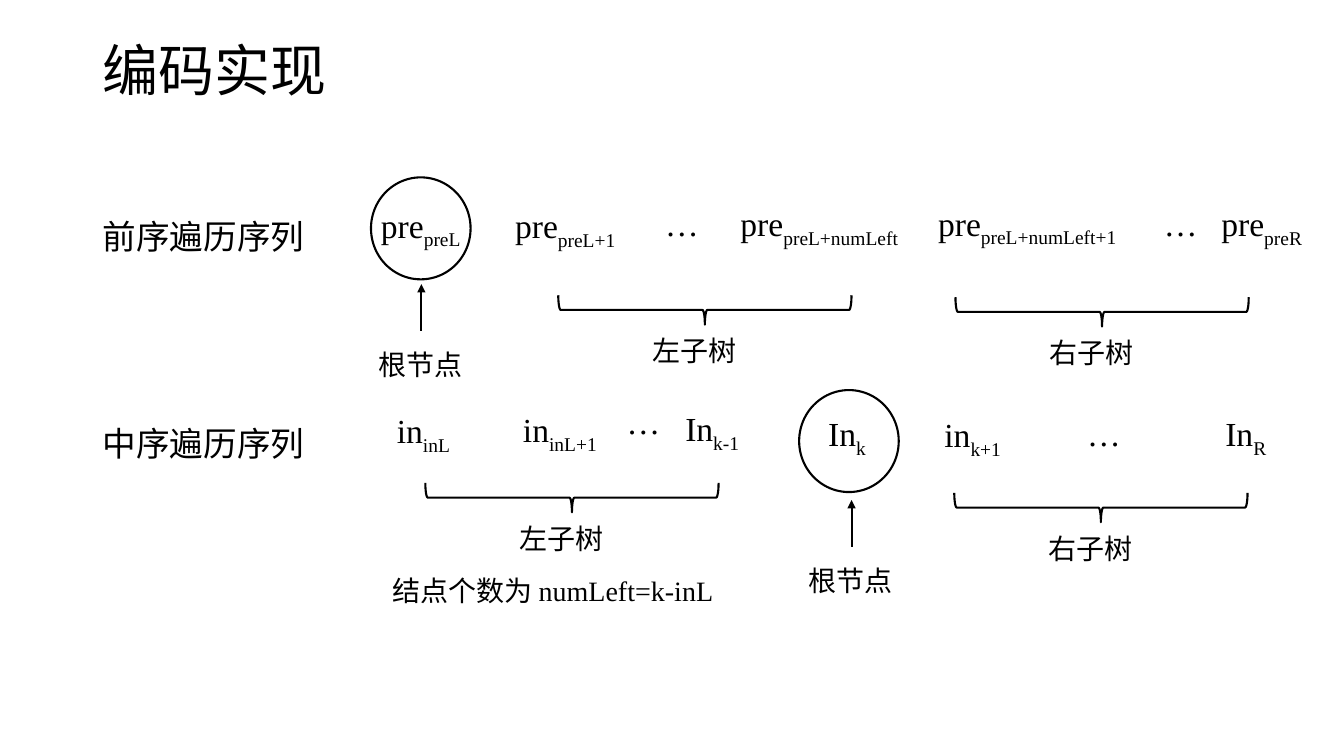
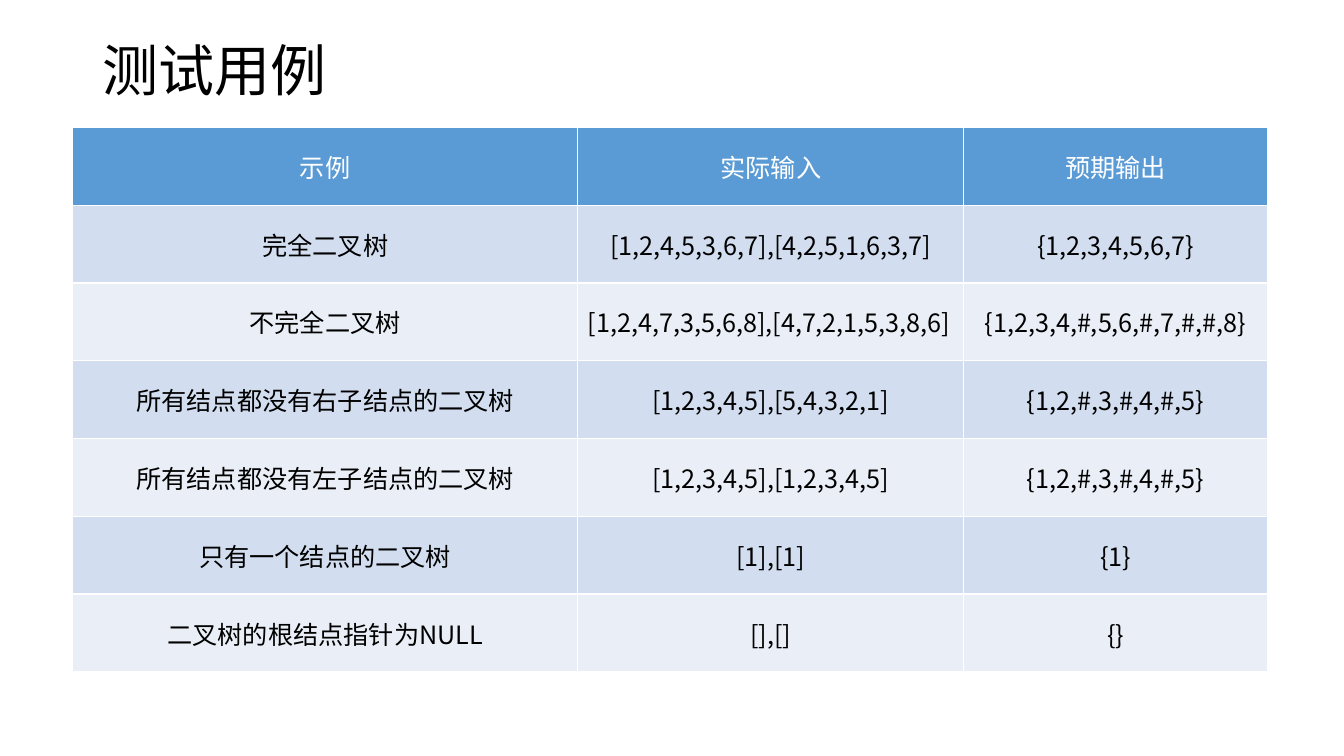
from dataclasses import dataclass

from lxml.etree import SubElement
from pptx import Presentation
from pptx.dml.color import RGBColor
from pptx.enum.shapes import MSO_CONNECTOR, MSO_SHAPE
from pptx.enum.text import MSO_ANCHOR, MSO_AUTO_SIZE, PP_ALIGN
from pptx.oxml.ns import qn
from pptx.util import Cm, Pt


@dataclass(frozen=True)
class Theme:
    """Colours, fonts and type sizes shared by the slides."""

    ink: str = "000000"
    paper: str = "FFFFFF"
    header: str = "5B9BD5"
    bands: tuple = ("D2DEEF", "EAEFF7")
    sans: str = "Noto Sans CJK SC"
    serif: str = "Times New Roman"
    title_size: int = 40
    sequence_size: int = 24
    label_size: int = 20
    table_size: int = 18
    line_width: float = 1.5


@dataclass(frozen=True)
class Box:
    """A rectangle measured in centimetres."""

    left: float
    top: float
    width: float
    height: float

    def place(self, left, top, width, height):
        """Return a box offset from this one's corner."""
        return Box(self.left + left, self.top + top, width, height)

    def lengths(self):
        """Return the four measures as slide lengths."""
        return Cm(self.left), Cm(self.top), Cm(self.width), Cm(self.height)


THEME = Theme()
TITLE_BOX = Box(2.34, 0, 29.21, 3.68)


def add_run(paragraph, text, size, font=THEME.sans, color=THEME.ink, subscript=False):
    """Append a run with its Latin and East Asian fonts."""
    run = paragraph.add_run()
    run.text = text
    run.font.size = Pt(size)
    run.font.name = font
    run.font.bold = False
    run.font.color.rgb = RGBColor.from_string(color)
    properties = run._r.get_or_add_rPr()
    SubElement(properties, qn("a:ea")).set("typeface", THEME.sans)
    if subscript:
        properties.set("baseline", "-25000")


def add_text(slide, box, size, runs, font=THEME.sans, wrap=True,
             anchor=MSO_ANCHOR.TOP, spacing=None, grow=True):
    """Add a one-paragraph text box from (text, subscript) runs."""
    frame = slide.shapes.add_textbox(*box.lengths()).text_frame
    frame.word_wrap = wrap
    frame.vertical_anchor = anchor
    frame.auto_size = MSO_AUTO_SIZE.SHAPE_TO_FIT_TEXT if grow else MSO_AUTO_SIZE.NONE
    paragraph = frame.paragraphs[0]
    if spacing:
        paragraph.line_spacing = spacing
    for text, subscript in runs:
        add_run(paragraph, text, size, font, subscript=subscript)


def add_title(slide, text):
    """Add the slide title."""
    add_text(slide, TITLE_BOX, THEME.title_size, [(text, False)],
             anchor=MSO_ANCHOR.MIDDLE, spacing=0.9, grow=False)


def style_line(shape):
    """Draw a line in the diagram's ink and width."""
    shape.line.color.rgb = RGBColor.from_string(THEME.ink)
    shape.line.width = Pt(THEME.line_width)


def add_outline(slide, kind, box):
    """Add an unfilled preset shape."""
    shape = slide.shapes.add_shape(kind, *box.lengths())
    shape.shadow.inherit = False
    shape.fill.background()
    style_line(shape)
    return shape


def add_subtree(slide, box, label):
    """Add a brace opening upwards over its label."""
    turned = box.place((box.width - box.height) / 2, (box.height - box.width) / 2,
                       box.height, box.width)
    add_outline(slide, MSO_SHAPE.LEFT_BRACE, turned).rotation = 270
    add_text(slide, box.place(2.13, 0.85, 3.45, 1.35), THEME.label_size, [(label, False)])


def add_root_pointer(slide, box):
    """Add an arrow up to the box's top left corner, with its label below."""
    arrow = slide.shapes.add_connector(
        MSO_CONNECTOR.STRAIGHT, Cm(box.left), Cm(box.top + box.height),
        Cm(box.left), Cm(box.top))
    style_line(arrow)
    SubElement(arrow.line._get_or_add_ln(), qn("a:tailEnd")).set("type", "triangle")
    SubElement(arrow._element.spPr, qn("a:effectLst"))
    add_text(slide, box.place(-1.33, 1.35, 3.43, 1.35), THEME.label_size,
             [("根节点", False)], anchor=MSO_ANCHOR.MIDDLE)


def add_sequence(slide, box, heading, terms, circle, pointer, subtrees):
    """Add a traversal row: heading, terms, marked root and subtrees."""
    add_text(slide, box, THEME.sequence_size, [(heading, False)],
             anchor=MSO_ANCHOR.MIDDLE, spacing=1.5)
    add_outline(slide, MSO_SHAPE.OVAL, box.place(*circle, 2.51, 2.57))
    for base, index, left, top, width in terms:
        runs = [(base, False)] + ([(index, True)] if index else [])
        add_text(slide, box.place(left, top, width, 1.27), THEME.sequence_size,
                 runs, THEME.serif, wrap=False)
    add_root_pointer(slide, box.place(*pointer, 0, 1.18))
    for label, left, top in subtrees:
        add_subtree(slide, box.place(left, top, 7.39, 0.74), label)


def build_traversals(slide):
    """Build the slide that compares the two traversal sequences."""
    add_title(slide, "编码实现")
    preorder = Box(2.34, 4.72, 7.21, 1.96)
    inorder = preorder.place(0, 5.21, preorder.width, preorder.height)
    add_sequence(
        slide, preorder, "前序遍历序列",
        [("pre", "preL", 7.01, 0.31, 2.69),
         ("pre", "preL+1", 10.39, 0.33, 3.28),
         ("…", "", 14.17, 0.28, 1.63),
         ("pre", "preL+numLeft", 16.07, 0.28, 4.98),
         ("pre", "preL+numLeft+1", 21.05, 0.26, 5.59),
         ("…", "", 26.74, 0.28, 1.63),
         ("pre", "preR", 28.19, 0.28, 2.72)],
        circle=(7.01, -0.25), pointer=(8.28, 2.44),
        subtrees=[("左子树", 11.73, 2.72), ("右子树", 21.74, 2.77)])
    add_sequence(
        slide, inorder, "中序遍历序列",
        [("in", "inL", 7.41, 0.28, 1.98),
         ("in", "inL+1", 10.59, 0.26, 2.57),
         ("…", "", 13.2, 0.05, 1.63),
         ("In", "k-1", 14.68, 0.23, 2.36),
         ("In", "k", 18.28, 0.36, 1.5),
         ("in", "k+1", 21.21, 0.38, 2.44),
         ("…", "", 24.81, 0.36, 1.63),
         ("In", "R", 28.29, 0.36, 1.6)],
        circle=(17.8, -0.1), pointer=(19.12, 2.67),
        subtrees=[("左子树", 8.38, 2.24), ("右子树", 21.71, 2.49)])
    add_text(slide, inorder.place(7.29, 4.4, 9.63, 1.12), THEME.label_size,
             [("结点个数为 numLeft=k-inL", False)], THEME.serif)


def add_case_table(slide, box, column_widths, rows, left_aligned):
    """Add a banded table whose first row is the header."""
    table = slide.shapes.add_table(len(rows), len(column_widths), *box.lengths()).table
    for column, width in zip(table.columns, column_widths):
        column.width = Cm(width)
    for row_index, values in enumerate(rows):
        table.rows[row_index].height = Cm(box.height / len(rows))
        fill = THEME.bands[(row_index - 1) % 2] if row_index else THEME.header
        color = THEME.ink if row_index else THEME.paper
        for column_index, value in enumerate(values):
            cell = table.cell(row_index, column_index)
            cell.fill.solid()
            cell.fill.fore_color.rgb = RGBColor.from_string(fill)
            cell.vertical_anchor = MSO_ANCHOR.MIDDLE
            paragraph = cell.text_frame.paragraphs[0]
            is_left = (row_index, column_index) in left_aligned
            paragraph.alignment = PP_ALIGN.LEFT if is_left else PP_ALIGN.CENTER
            add_run(paragraph, value, THEME.table_size, color=color)


def build_test_cases(slide):
    """Build the slide that lists the test cases."""
    add_title(slide, "测试用例")
    column_widths = (12.73, 9.73, 7.65)
    rows = [
        ("示例", "实际输入", "预期输出"),
        ("完全二叉树", "[1,2,4,5,3,6,7],[4,2,5,1,6,3,7]", "{1,2,3,4,5,6,7}"),
        ("不完全二叉树", "[1,2,4,7,3,5,6,8],[4,7,2,1,5,3,8,6]",
         "{1,2,3,4,#,5,6,#,7,#,#,8}"),
        ("所有结点都没有右子结点的二叉树", "[1,2,3,4,5],[5,4,3,2,1]", "{1,2,#,3,#,4,#,5}"),
        ("所有结点都没有左子结点的二叉树", "[1,2,3,4,5],[1,2,3,4,5]", "{1,2,#,3,#,4,#,5}"),
        ("只有一个结点的二叉树", "[1],[1]", "{1}"),
        ("二叉树的根结点指针为NULL", "[],[]", "{}"),
    ]
    add_case_table(slide, Box(1.83, 3.21, sum(column_widths), 13.72),
                   column_widths, rows, left_aligned={(2, 1)})


def main():
    """Build and save the presentation."""
    presentation = Presentation()
    presentation.slide_width = Cm(33.87)
    presentation.slide_height = Cm(19.05)
    blank_layout = presentation.slide_layouts[6]
    for build in (build_traversals, build_test_cases):
        build(presentation.slides.add_slide(blank_layout))
    presentation.save("out.pptx")


main()
